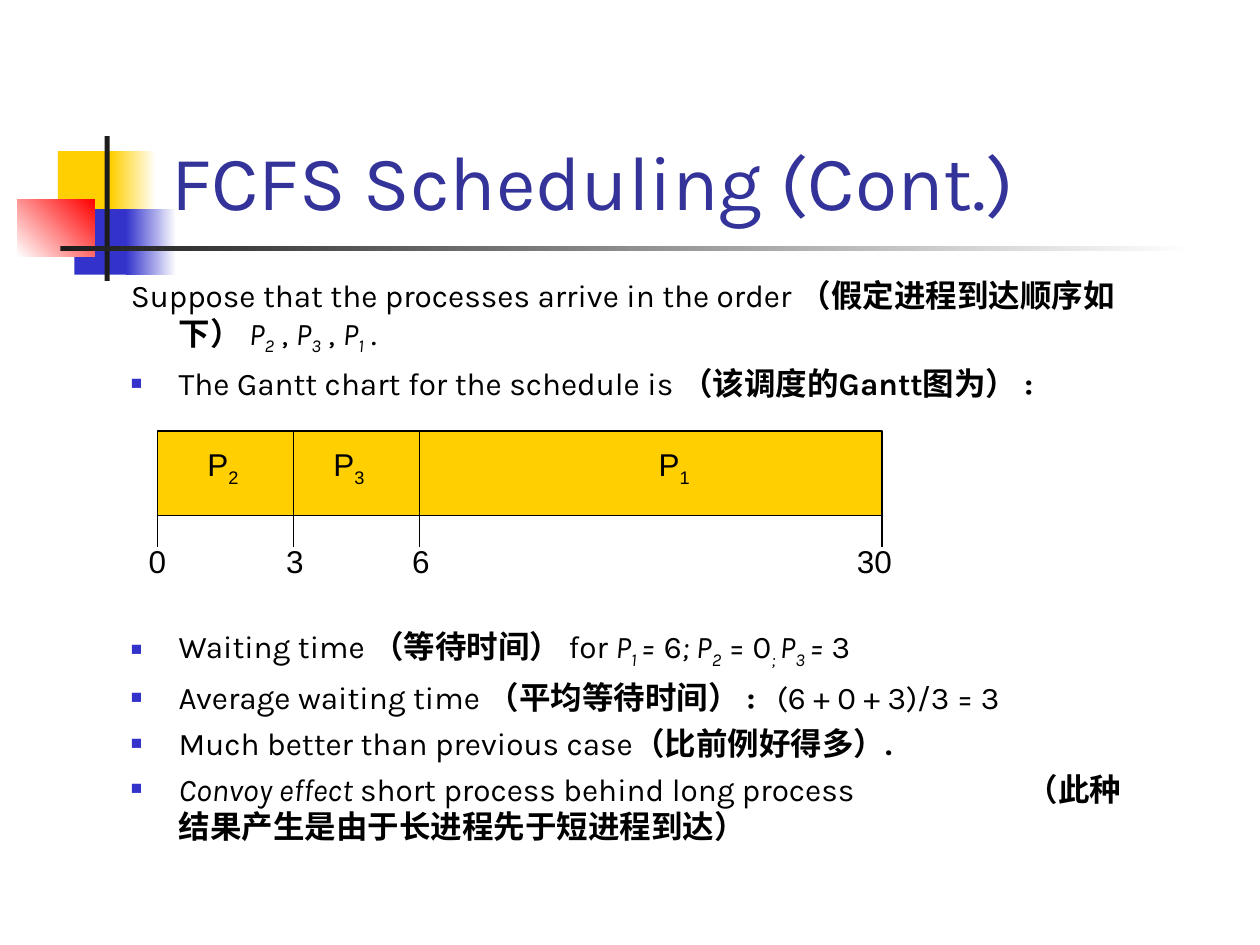
from lxml import etree
from pptx import Presentation
from pptx.dml.color import RGBColor
from pptx.enum.shapes import MSO_CONNECTOR, MSO_SHAPE
from pptx.enum.text import MSO_ANCHOR as ANCHOR, MSO_AUTO_SIZE as AUTO, PP_ALIGN as ALIGN
from pptx.oxml.ns import qn
from pptx.util import Inches, Pt

COLORS = {
    "yellow": "FFCF01", "blue": "3333CC", "red": "FF0000", "dark": "1C1C1C",
    "white": "FFFFFF", "black": "000000", "title": "333399",
}

# Each run is its text and style letters: b bold, i italic, s subscript.
# A number instead of letters widens the run by that many points.
INTRO = [
    ("Suppose that the processes arrive in the order ", ""),
    ("（假定进程到达顺序如下） ", "b"),
    ("P", "i"), ("2", "is"), (" , ", ""),
    ("P", "i"), ("3", "is"), (" , ", ""),
    ("P", "i"), ("1", "is"), (" .", ""),
]
CHART_LEAD = [("The Gantt chart for the schedule is ", ""), ("（该调度的Gantt图为） :", "b")]
RESULTS = [
    [("Waiting time ", ""), ("（等待时间） ", "b"), ("for ", ""),
     ("P", "i"), ("1 ", "is"), ("=", "i"), (" 6", ""),
     ("; P", "i"), ("2", "is"), (" = 0", ""), ("; ", "is"),
     ("P", "i"), ("3 ", "is"), ("= ", "i"), ("3", "")],
    [("Average waiting time ", ""), ("（平均等待时间） :", "b"),
     (" ", 8), ("(6 + 0 + 3)/3 = 3", "")],
    [("Much better than previous case", ""), ("（比前例好得多）.", "b")],
    [("Convoy effect", "i"), (" short process behind long process", ""),
     (" ", 94), ("（此种结果产生是由于长进程先于短进程到达）", "b")],
]


def rgb(name):
    return RGBColor.from_string(COLORS[name])


def add_text(p, runs, font="Karla", size=18, color="black"):
    for text, style in runs:
        r = p.add_run()
        r.text = text
        f = r.font
        f.name, f.size = font, Pt(size)
        f.color.rgb = rgb(color)
        if isinstance(style, int):
            r._r.get_or_add_rPr().set("spc", str(style * 100))
            continue
        f.bold, f.italic = "b" in style, "i" in style
        if "s" in style:
            r._r.get_or_add_rPr().set("baseline", "-25000")


def add_box(slide, x, y, w, h, anchor=ANCHOR.TOP, wrap=True):
    tf = slide.shapes.add_textbox(Inches(x), Inches(y), Inches(w), Inches(h)).text_frame
    tf.word_wrap = wrap
    tf.auto_size = AUTO.NONE
    tf.vertical_anchor = anchor
    return tf


def add_rect(slide, x, y, w, h, fill, fade_to=None, angle=0, line=None):
    sp = slide.shapes.add_shape(MSO_SHAPE.RECTANGLE, Inches(x), Inches(y), Inches(w), Inches(h))
    sp.shadow.inherit = False
    if fade_to:
        sp.fill.gradient()
        sp.fill.gradient_angle = angle
        for stop, name, position in zip(sp.fill.gradient_stops, (fill, fade_to), (0, 1)):
            stop.color.rgb = rgb(name)
            stop.position = position
    else:
        sp.fill.solid()
        sp.fill.fore_color.rgb = rgb(fill)
    if line:
        sp.line.color.rgb = rgb(line)
        sp.line.width = Pt(0.75)
    else:
        sp.line.fill.background()


def add_vertical(slide, x, top, bottom):
    line = slide.shapes.add_connector(
        MSO_CONNECTOR.STRAIGHT, Inches(x), Inches(top), Inches(x), Inches(bottom))
    line.line.color.rgb = rgb("black")
    line.line.width = Pt(0.75)
    etree.SubElement(line._element.spPr, qn("a:effectLst"))


def set_hanging(p, bullet):
    p.space_before = Pt(4.5)
    p.line_spacing = 1.0
    pPr = p._p.get_or_add_pPr()
    pPr.set("marL", str(Inches(0.38)))
    pPr.set("indent", str(-Inches(0.38)))
    if bullet:
        color = etree.SubElement(pPr, qn("a:buClr"))
        etree.SubElement(color, qn("a:srgbClr"), val=COLORS["blue"])
        etree.SubElement(pPr, qn("a:buSzPct"), val="60000")
        etree.SubElement(pPr, qn("a:buFont"), typeface="Arial")
        etree.SubElement(pPr, qn("a:buChar"), char="■")
    else:
        etree.SubElement(pPr, qn("a:buNone"))


def add_ornament(slide, x, y):
    """Overlapping squares with a cross of two bars."""
    add_rect(slide, x + 0.32, y + 0.12, 0.48, 0.52, "yellow")
    add_rect(slide, x + 0.74, y + 0.12, 0.36, 0.52, "yellow", "white")
    add_rect(slide, x + 0.45, y + 0.58, 0.46, 0.52, "blue")
    add_rect(slide, x + 0.86, y + 0.58, 0.4, 0.52, "blue", "white")
    add_rect(slide, x, y + 0.5, 0.61, 0.46, "white", "red", angle=45)
    add_rect(slide, x + 0.69, y, 0.04, 1.15, "dark")
    add_rect(slide, x + 0.34, y + 0.87, 9, 0.04, "dark", "white")


def add_title(slide, x, y, w, h):
    tf = add_box(slide, x, y, w, h, ANCHOR.BOTTOM)
    add_text(tf.paragraphs[0], [("FCFS Scheduling (Cont.)", "")], size=44, color="title")


def add_body(slide, x, y, w, h, items):
    """Hanging paragraphs from (runs, has bullet) pairs."""
    tf = add_box(slide, x, y, w, h)
    for i, (runs, bullet) in enumerate(items):
        p = tf.add_paragraph() if i else tf.paragraphs[0]
        set_hanging(p, bullet)
        add_text(p, runs)


def add_label(slide, center, y, w, h, runs):
    tf = add_box(slide, center - w / 2, y, w, h, ANCHOR.MIDDLE, wrap=False)
    p = tf.paragraphs[0]
    p.alignment = ALIGN.CENTER
    p.space_before = Pt(11.2)
    add_text(p, runs, font="Arial")


def add_gantt(slide, x, y, w, h):
    add_rect(slide, x, y, w, h, "yellow", line="black")
    for process, center in (("2", 0.52), ("3", 1.52), ("1", 4.1)):
        add_label(slide, x + center, y + 0.06, 0.45, 0.44, [("P", ""), (process, "s")])
    bottom = y + h
    for time, offset, shift in (("0", 0, 0), ("3", 1.08, 0.01), ("6", 2.08, 0.01), ("30", w, -0.06)):
        if 0 < offset < w:
            add_vertical(slide, x + offset, y, bottom)
        add_vertical(slide, x + offset, bottom, bottom + 0.25)
        add_label(slide, x + offset + shift, y + 0.83, 0.24 + 0.12 * len(time), 0.4, [(time, "")])


def main():
    prs = Presentation()
    prs.slide_width, prs.slide_height = Inches(10), Inches(7.5)
    slide = prs.slides.add_slide(prs.slide_layouts[6])
    add_ornament(slide, 0.14, 1.08)
    add_title(slide, 1.26, 0.24, 8.52, 1.6)
    add_body(slide, 0.94, 2.14, 8.1, 1.2, [(INTRO, False), (CHART_LEAD, True)])
    add_gantt(slide, 1.25, 3.42, 5.75, 0.67)
    add_body(slide, 0.94, 4.93, 8.1, 2.18, [(runs, True) for runs in RESULTS])
    prs.save("out.pptx")


if __name__ == "__main__":
    main()
